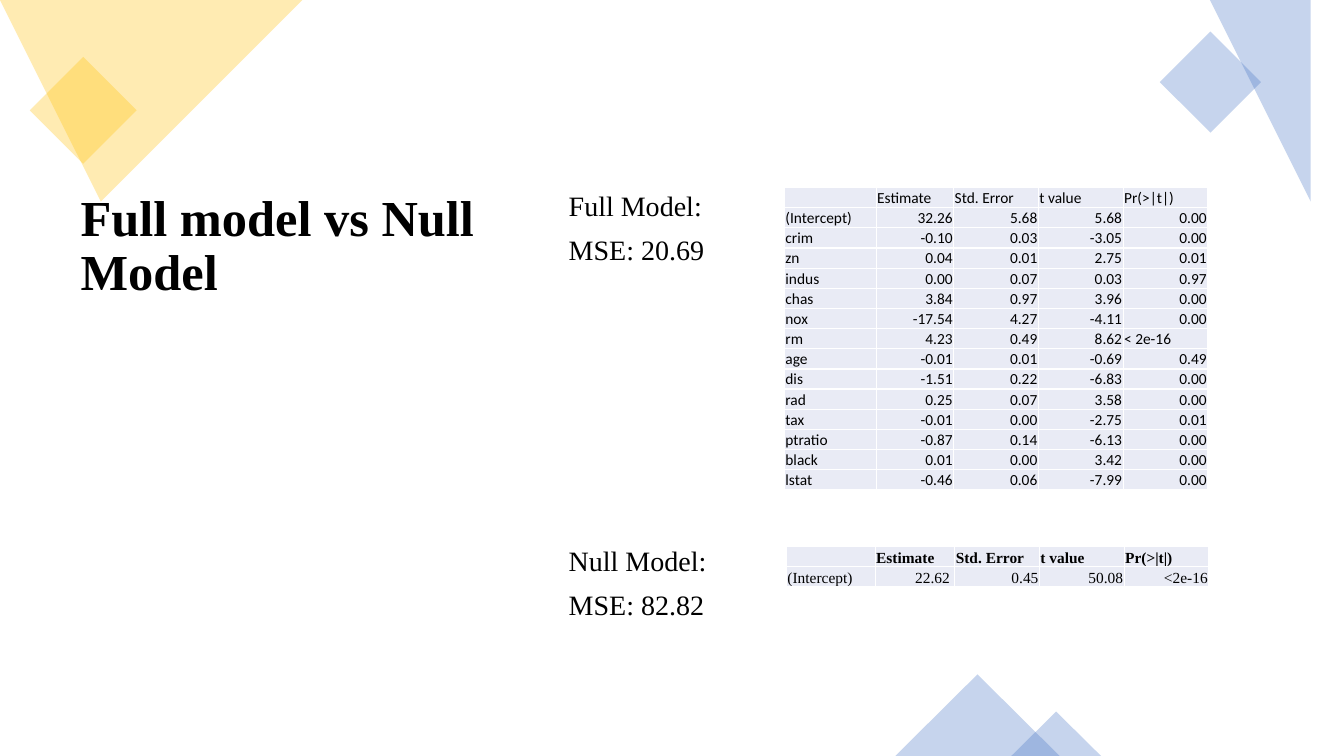
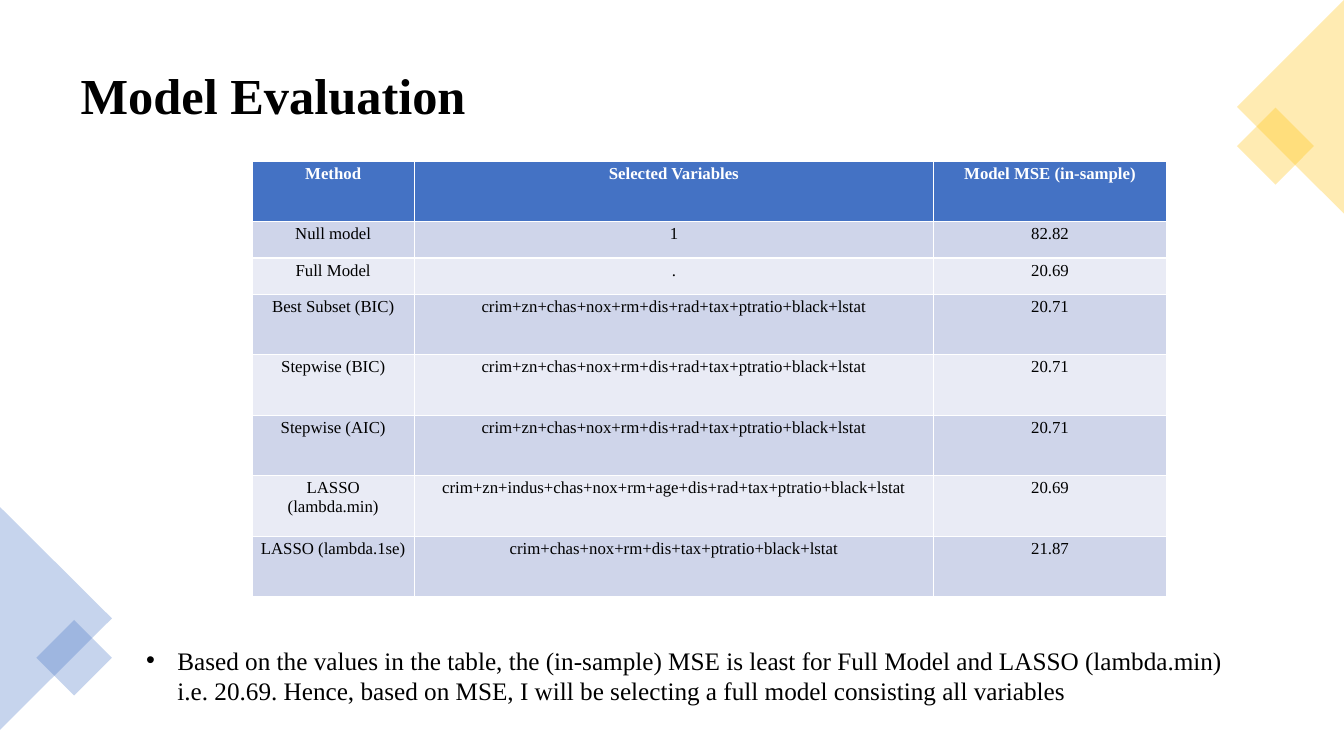
from lxml.etree import SubElement
from pptx import Presentation
from pptx.dml.color import RGBColor
from pptx.enum.shapes import MSO_SHAPE
from pptx.enum.text import MSO_ANCHOR, MSO_AUTO_SIZE, PP_ALIGN
from pptx.oxml.ns import qn
from pptx.util import Inches, Pt

RECT, TRI = MSO_SHAPE.RECTANGLE, MSO_SHAPE.ISOSCELES_TRIANGLE
TOP, MID, LOW = MSO_ANCHOR.TOP, MSO_ANCHOR.MIDDLE, MSO_ANCHOR.BOTTOM
LEFT, MIDST, RIGHT = PP_ALIGN.LEFT, PP_ALIGN.CENTER, PP_ALIGN.RIGHT
SERIF, SANS = "Times New Roman", "Calibri"
HUES = {"gold": "FFC000", "blue": "4472C4", "pale": "E9EBF5",
        "band": "CFD5EA", "ink": "000000", "white": "FFFFFF"}


def style(para, size, face=SERIF, bold=False, hue="ink", **form):
    for key, val in form.items():
        setattr(para, key, val)
    for run in para.runs:
        looks = {"size": Pt(size), "name": face, "bold": bold}
        for key, val in looks.items():
            setattr(run.font, key, val)
        run.font.color.rgb = RGBColor.from_string(HUES[hue])
    if not para.runs:
        para._p.get_or_add_endParaRPr().set("sz", str(size * 100))


def grid(slide, left, top, cols, highs, rows, pads, anchor, look, head):
    frame = slide.shapes.add_table(
        len(rows), len(cols), Inches(left), Inches(top),
        Inches(sum(cols)), Inches(sum(highs)))
    table = frame.table
    table.first_row = table.horz_banding = head
    for col, wide in zip(table.columns, cols):
        col.width = Inches(wide)
    for r, row in enumerate(rows):
        table.rows[r].height = Inches(highs[r])
        for c, word in enumerate(row):
            cell = table.cell(r, c)
            cell.text = word
            cell.vertical_anchor = anchor
            for side, pad in zip(("left", "top", "right", "bottom"), pads):
                setattr(cell, "margin_" + side, Inches(pad))
            fill, form = look(r, c, word)
            cell.fill.solid()
            cell.fill.fore_color.rgb = RGBColor.from_string(HUES[fill])
            style(cell.text_frame.paragraphs[0], **form)


deck = Presentation()
deck.slide_width, deck.slide_height = Inches(13.33), Inches(7.5)

PAGES = [
    {"title": "Full model vs Null Model", "spot": (0.7, 1.86, 4.33, 4.94),
     "anchor": TOP, "body": (5.54, 1.86, 7.08, 4.94), "size": 20,
     "lines": [("Full Model:", 0), ("MSE: 20.69", 10),
               ("Null Model:", 200), ("MSE: 82.82", 10)],
     "space": 0.9, "bullet": False,
     "decor": [
         (RECT, (0.45, 0.72, 0.75, 0.75), 45, "gold"),
         (None, [(0, 0), (3.1, 0), (1.4, 1.62), (0, 0.28)], 0, "gold"),
         (None, [(11.81, 0), (13.33, 0), (13.33, 1.3), (12.92, 1.71),
                 (11.5, 0.3)], 0, "blue"),
         (RECT, (11.65, 0.46, 0.71, 0.71), 45, "blue"),
         (TRI, (8.88, 6.69, 1.63, 0.81), 0, "blue"),
         (TRI, (10.03, 7.06, 0.89, 0.44), 0, "blue")]},
    {"title": "Model Evaluation", "spot": (0.7, 0.35, 11.93, 1.24),
     "anchor": MID, "body": (1.35, 6.35, 10.92, 0.71), "size": 18,
     "lines": [("Based on the values in the table, the (in-sample) MSE is "
                "least for Full Model and LASSO (lambda.min) i.e. 20.69. "
                "Hence, based on MSE, I will be selecting a full model "
                "consisting all variables", 0)],
     "space": 1.0, "bullet": True,
     "decor": [
         (TRI, (-0.55, 5.58, 2.21, 1.11), 90, "blue"),
         (RECT, (0.47, 6.26, 0.53, 0.53), 45, "blue"),
         (RECT, (12.38, 1.18, 0.54, 0.54), 45, "gold"),
         (TRI, (11.74, 0.53, 2.12, 1.06), 270, "gold")]},
]

for page in PAGES:
    slide = deck.slides.add_slide(deck.slide_layouts[1])
    title, body = slide.placeholders
    for holder, box, anchor in ((title, page["spot"], page["anchor"]),
                                (body, page["body"], TOP)):
        for key, val in zip(("left", "top", "width", "height"), box):
            setattr(holder, key, Inches(val))
        holder.text_frame.auto_size = MSO_AUTO_SIZE.NONE
        holder.text_frame.vertical_anchor = anchor
    title.text_frame.text = page["title"]
    style(title.text_frame.paragraphs[0], 36, bold=True,
          alignment=LEFT, line_spacing=0.9)

    body.text_frame.text = "\n".join(line for line, gap in page["lines"])
    for para, (line, gap) in zip(body.text_frame.paragraphs, page["lines"]):
        style(para, page["size"], alignment=LEFT,
              line_spacing=page["space"], space_before=Pt(gap))
        props = para._p.get_or_add_pPr()
        dent = Inches(0.31) if page["bullet"] else 0
        props.set("marL", str(dent))
        props.set("indent", str(-dent))
        if page["bullet"]:
            SubElement(props, qn("a:buFont")).set("typeface", "Arial")
            SubElement(props, qn("a:buChar")).set("char", "•")
        else:
            SubElement(props, qn("a:buNone"))

    for kind, spots, turn, hue in page["decor"]:
        if kind is None:
            path = slide.shapes.build_freeform(*spots[0], scale=Inches(1))
            path.add_line_segments(spots[1:], close=True)
            shape = path.convert_to_shape()
        else:
            shape = slide.shapes.add_shape(kind, *map(Inches, spots))
        shape.rotation = turn
        shape.shadow.inherit = False
        shape.line.fill.background()
        shape.fill.solid()
        shape.fill.fore_color.rgb = RGBColor.from_string(HUES[hue])
        tint = shape._element.spPr.xpath(".//a:srgbClr")[0]
        SubElement(tint, qn("a:alpha")).set("val", "30000")

first, last = deck.slides
HEADS = ["", "Estimate", "Std. Error", "t value", "Pr(>|t|)"]
FULL = [
    HEADS,
    ["(Intercept)", "32.26", "5.68", "5.68", "0.00"],
    ["crim", "-0.10", "0.03", "-3.05", "0.00"],
    ["zn", "0.04", "0.01", "2.75", "0.01"],
    ["indus", "0.00", "0.07", "0.03", "0.97"],
    ["chas", "3.84", "0.97", "3.96", "0.00"],
    ["nox", "-17.54", "4.27", "-4.11", "0.00"],
    ["rm", "4.23", "0.49", "8.62", "< 2e-16"],
    ["age", "-0.01", "0.01", "-0.69", "0.49"],
    ["dis", "-1.51", "0.22", "-6.83", "0.00"],
    ["rad", "0.25", "0.07", "3.58", "0.00"],
    ["tax", "-0.01", "0.00", "-2.75", "0.01"],
    ["ptratio", "-0.87", "0.14", "-6.13", "0.00"],
    ["black", "0.01", "0.00", "3.42", "0.00"],
    ["lstat", "-0.46", "0.06", "-7.99", "0.00"],
]
NULL = [HEADS, ["(Intercept)", "22.62 ", "0.45", "50.08", "<2e-16"]]
TIGHT = (0.01, 0.01, 0.01, 0)

grid(first, 7.78, 1.86, [0.91, 0.77, 0.84, 0.84, 0.84], [0.2] * len(FULL),
     FULL, TIGHT, LOW,
     lambda r, c, word: ("pale", {
         "size": 11, "face": SANS,
         "alignment": RIGHT if r and c and word[0] != "<" else LEFT}),
     False)
grid(first, 7.8, 5.42, [0.88, 0.79, 0.84, 0.84, 0.84], [0.2] * len(NULL),
     NULL, TIGHT, LOW,
     lambda r, c, word: ("pale", {
         "size": 11, "bold": r == 0, "alignment": RIGHT if r and c else LEFT}),
     False)

BEST = "crim+zn+chas+nox+rm+dis+rad+tax+ptratio+black+lstat"
SCORES = [
    ["Method", "Selected Variables", "Model MSE (in-sample)"],
    ["Null model", "1", "82.82"],
    ["Full Model", ".", "20.69"],
    ["Best Subset (BIC)", BEST, "20.71"],
    ["Stepwise (BIC)", BEST, "20.71"],
    ["Stepwise (AIC)", BEST, "20.71"],
    ["LASSO (lambda.min)",
     "crim+zn+indus+chas+nox+rm+age+dis+rad+tax+ptratio+black+lstat", "20.69"],
    ["LASSO (lambda.1se)",
     "crim+chas+nox+rm+dis+tax+ptratio+black+lstat", "21.87"],
]
grid(last, 2.5, 1.6, [1.61, 5.15, 2.31], [0.6, 0.36, 0.36] + [0.6] * 5,
     SCORES, (0.07, 0.03, 0.07, 0.03), TOP,
     lambda r, c, word: (
         "blue" if r == 0 else "band" if r % 2 else "pale",
         {"size": 12, "bold": r == 0, "hue": "ink" if r else "white",
          "alignment": MIDST}),
     True)

deck.save("out.pptx")
